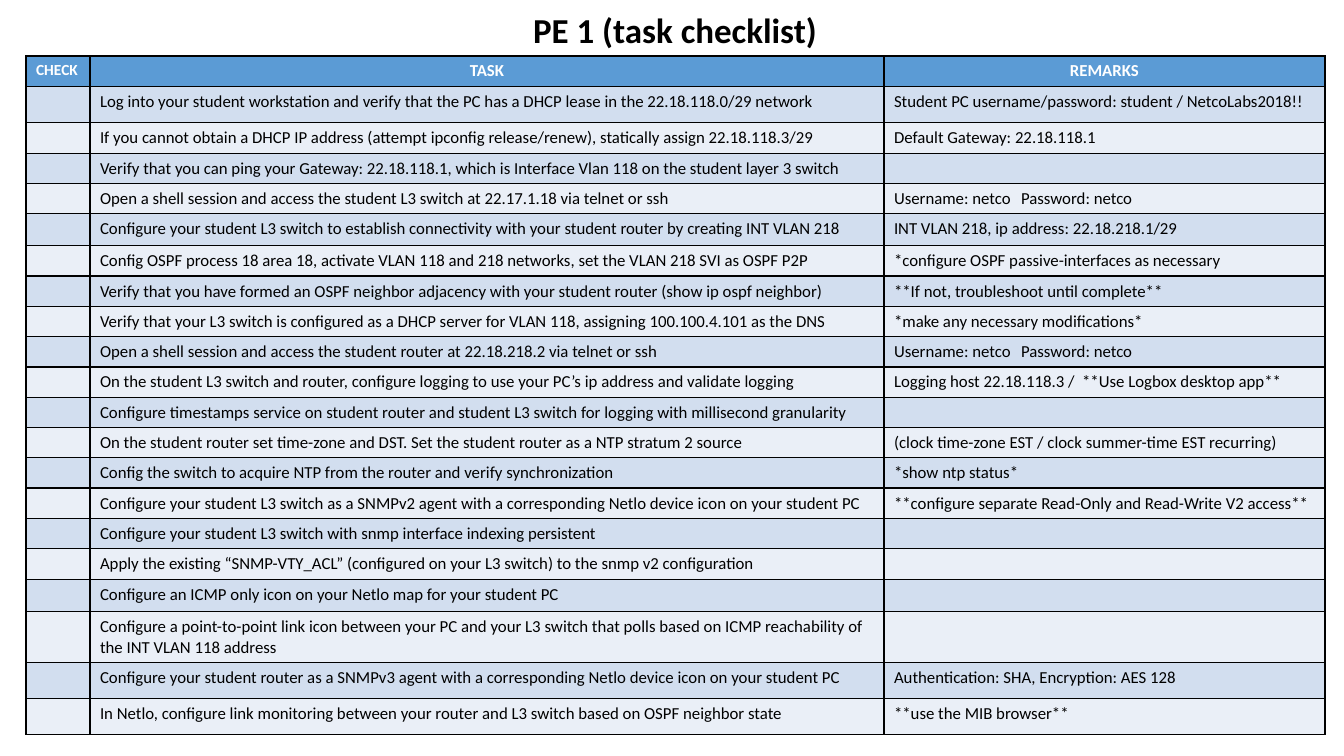
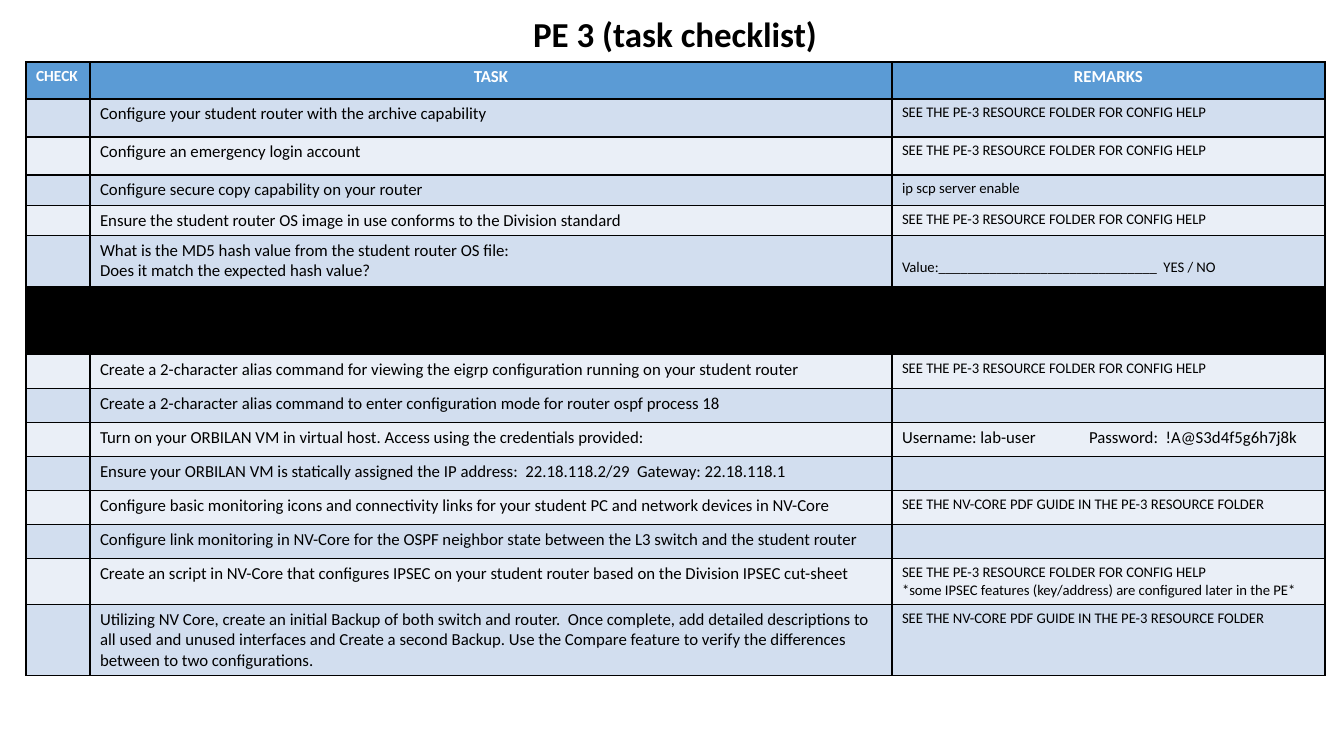
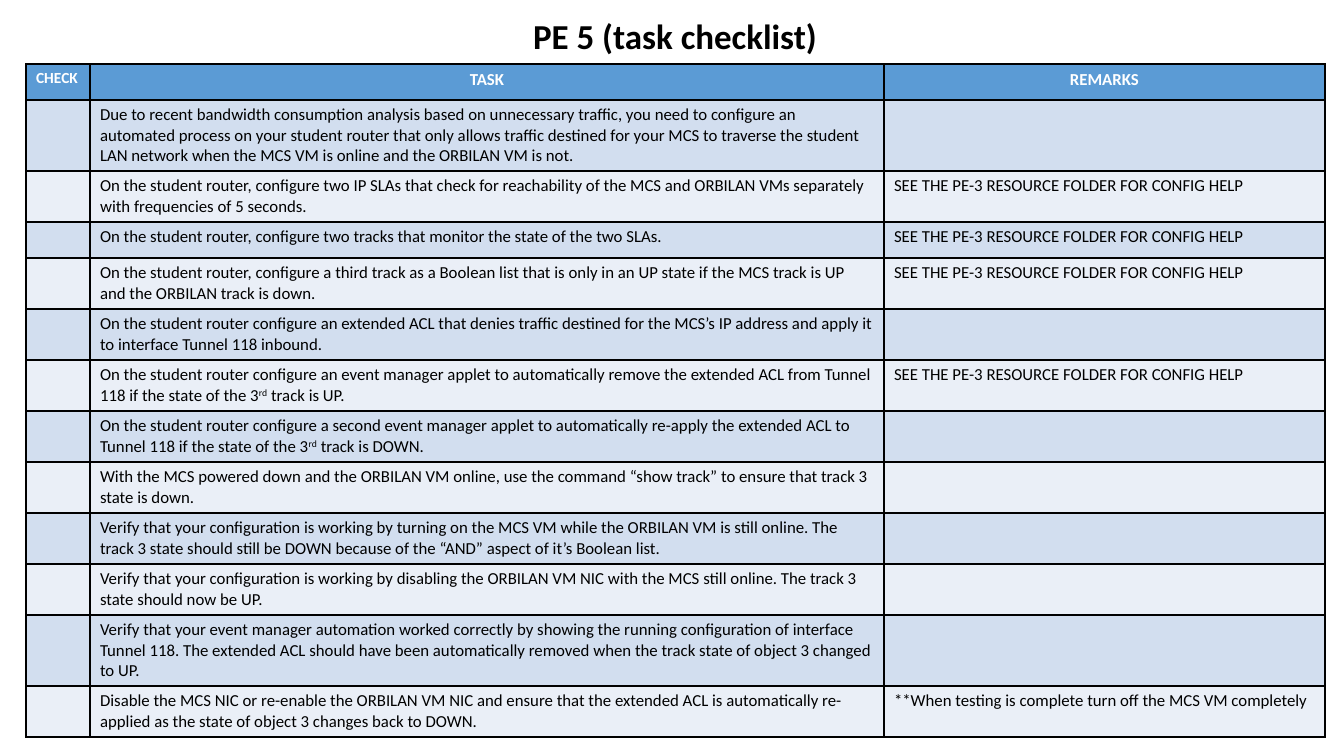
from dataclasses import dataclass
from lxml.etree import SubElement
from pptx import Presentation
from pptx.dml.color import RGBColor
from pptx.enum.text import MSO_ANCHOR, PP_ALIGN
from pptx.oxml.ns import qn
from pptx.util import Emu, Pt

SCALE = 914400 / 100.8


# Shared look
@dataclass(frozen=True)
class Theme:
    font: str = "Calibri"
    ink: str = "000000"
    white: str = "FFFFFF"
    head: str = "5B9BD5"
    bands: tuple = ("EAEFF7", "D2DEEF")
    title: float = 25
    check: float = 11
    body: float = 12
    small: float = 10.5
    line: float = 1


THEME = Theme()


@dataclass
class Row:
    task: str = ""
    note: str = ""
    high: int = 30
    size: float = THEME.body  # type size of the remark
    tab: int = 0  # tab stop in the remark
    lead: int = 0  # extra space above the remark
    black: bool = False


@dataclass
class Sheet:
    title: str
    box: tuple  # top and height of the title
    top: int
    cols: tuple
    head: int
    rows: list


def px(n):
    return Emu(round(n * SCALE))


def color(code):
    return RGBColor.from_string(code)


# Text: a part between ^ marks is raised
def write(para, text, size, ink=THEME.ink, bold=False, align=PP_ALIGN.LEFT):
    font = para.font
    font.name, font.size, font.bold = THEME.font, Pt(size), bold
    font.color.rgb = color(ink)
    para.alignment = align
    for i, part in enumerate(text.split("^") if text else []):
        run = para.add_run()
        run.text = part
        if i % 2:
            run._r.get_or_add_rPr().set("baseline", "30000")
    if not text:
        para._p.get_or_add_endParaRPr().set("sz", str(int(size * 100)))


def add_tab(para, stop):
    props = para._p.get_or_add_pPr()
    tabs = props.makeelement(qn("a:tabLst"))
    SubElement(tabs, qn("a:tab"), pos=str(px(stop)), algn="l")
    props.insert(0, tabs)


# Table cells
def add_edges(cell):
    props = cell._tc.get_or_add_tcPr()
    for i, side in enumerate(("lnL", "lnR", "lnT", "lnB")):
        edge = props.makeelement(qn("a:" + side), w=str(Pt(THEME.line)))
        fill = SubElement(edge, qn("a:solidFill"))
        SubElement(fill, qn("a:srgbClr"), val=THEME.ink)
        props.insert(i, edge)


def fill_cell(cell, text, fill, size=THEME.body, **style):
    cell.fill.solid()
    cell.fill.fore_color.rgb = color(fill)
    add_edges(cell)
    frame = cell.text_frame
    for i, line in enumerate(text.split("\n")):
        para = frame.add_paragraph() if i else frame.paragraphs[0]
        write(para, line, size, **style)


def add_title(slide, sheet):
    top, high = sheet.box
    box = slide.shapes.add_textbox(px(171), px(top), px(1008), px(high))
    frame = box.text_frame
    frame.word_wrap = True
    frame.vertical_anchor = MSO_ANCHOR.BOTTOM
    para = frame.paragraphs[0]
    write(para, sheet.title, THEME.title, bold=True, align=PP_ALIGN.CENTER)
    para.line_spacing = 0.9


def add_list(slide, sheet):
    highs = [sheet.head] + [row.high for row in sheet.rows]
    table = slide.shapes.add_table(
        len(highs), len(sheet.cols), px(26), px(sheet.top),
        px(sum(sheet.cols)), px(sum(highs))).table
    table.horz_banding = False
    for col, wide in zip(table.columns, sheet.cols):
        col.width = px(wide)
    for line, high in zip(table.rows, highs):
        line.height = px(high)

    # Header row
    heads = (("CHECK", THEME.check, PP_ALIGN.LEFT),
             ("TASK", THEME.body, PP_ALIGN.CENTER),
             ("REMARKS", THEME.body, PP_ALIGN.CENTER))
    for i, (text, size, align) in enumerate(heads):
        fill_cell(table.cell(0, i), text, THEME.head, size,
                  ink=THEME.white, bold=True, align=align)

    # Task rows
    for i, row in enumerate(sheet.rows, 1):
        fill = THEME.ink if row.black else THEME.bands[i % 2]
        check, task, note = (table.cell(i, n) for n in range(3))
        fill_cell(check, "", fill)
        fill_cell(task, row.task, fill)
        fill_cell(note, row.note, fill, row.size)
        if row.tab:
            add_tab(note.text_frame.paragraphs[0], row.tab)
        if row.lead:
            note.margin_top = px(5 + row.lead)


# Content
HELP = "SEE THE PE-3 RESOURCE FOLDER FOR CONFIG HELP"
GUIDE = "SEE THE NV-CORE PDF GUIDE IN THE PE-3 RESOURCE FOLDER"
LOGIN = "Username: netco\tPassword: netco"
WIDE = (64, 794, 441)
SMALL = THEME.small

FIRST = [
    Row("Log into your student workstation and verify that the PC has a DHCP lease in the 22.18.118.0/29 network",
        "Student PC username/password: student / NetcoLabs2018!!", 36),
    Row("If you cannot obtain a DHCP IP address (attempt ipconfig release/renew), statically assign 22.18.118.3/29",
        "Default Gateway: 22.18.118.1", 31),
    Row("Verify that you can ping your Gateway: 22.18.118.1, which is Interface Vlan 118 on the student layer 3 switch"),
    Row("Open a shell session and access the student L3 switch at 22.17.1.18 via telnet or ssh", LOGIN, tab=127),
    Row("Configure your student L3 switch to establish connectivity with your student router by creating INT VLAN 218",
        "INT VLAN 218, ip address: 22.18.218.1/29", 32),
    Row("Config OSPF process 18 area 18, activate VLAN 118 and 218 networks, set the VLAN 218 SVI as OSPF P2P",
        "*configure OSPF passive-interfaces as necessary"),
    Row("Verify that you have formed an OSPF neighbor adjacency with your student router (show ip ospf neighbor)",
        "**If not, troubleshoot until complete**"),
    Row("Verify that your L3 switch is configured as a DHCP server for VLAN 118, assigning 100.100.4.101 as the DNS",
        "*make any necessary modifications*"),
    Row("Open a shell session and access the student router at 22.18.218.2 via telnet or ssh", LOGIN, tab=127),
    Row("On the student L3 switch and router, configure logging to use your PC’s ip address and validate logging",
        "Logging host 22.18.118.3 /  **Use Logbox desktop app**"),
    Row("Configure timestamps service on student router and student L3 switch for logging with millisecond granularity"),
    Row("On the student router set time-zone and DST. Set the student router as a NTP stratum 2 source",
        "(clock time-zone EST / clock summer-time EST recurring)"),
    Row("Config the switch to acquire NTP from the router and verify synchronization", "*show ntp status*"),
    Row("Configure your student L3 switch as a SNMPv2 agent with a corresponding Netlo device icon on your student PC",
        "**configure separate Read-Only and Read-Write V2 access**"),
    Row("Configure your student L3 switch with snmp interface indexing persistent"),
    Row("Apply the existing “SNMP-VTY_ACL” (configured on your L3 switch) to the snmp v2 configuration", high=31),
    Row("Configure an ICMP only icon on your Netlo map for your student PC", high=32),
    Row("Configure a point-to-point link icon between your PC and your L3 switch that polls based on ICMP "
        "reachability of the INT VLAN 118 address", high=51),
    Row("Configure your student router as a SNMPv3 agent with a corresponding Netlo device icon on your student PC",
        "Authentication: SHA, Encryption: AES 128", 36),
    Row("In Netlo, configure link monitoring between your router and L3 switch based on OSPF neighbor state",
        "**use the MIB browser**", 36),
]

THIRD = [
    Row("Configure your student router with the archive capability", HELP, 38, SMALL),
    Row("Configure an emergency login account", HELP, 38, SMALL),
    Row("Configure secure copy capability on your router", "ip scp server enable", 30, SMALL),
    Row("Ensure the student router OS image in use conforms to the Division standard", HELP, 30, SMALL),
    Row("What is the MD5 hash value from the student router OS file:\nDoes it match the expected hash value?",
        "Value:______________________________  YES / NO", 51, SMALL, lead=18),
    Row(high=34, black=True),
    Row(high=34, black=True),
    Row("Create a 2-character alias command for viewing the eigrp configuration running on your student router",
        HELP, 34, SMALL),
    Row("Create a 2-character alias command to enter configuration mode for router ospf process 18", high=34),
    Row("Turn on your ORBILAN VM in virtual host. Access using the credentials provided:",
        "Username: lab-user\tPassword:  !A@S3d4f5g6h7j8k", 34, tab=187),
    Row("Ensure your ORBILAN VM is statically assigned the IP address:  22.18.118.2/29  Gateway: 22.18.118.1",
        high=34),
    Row("Configure basic monitoring icons and connectivity links for your student PC and network devices in NV-Core",
        GUIDE, 34, SMALL),
    Row("Configure link monitoring in NV-Core for the OSPF neighbor state between the L3 switch and the student router",
        high=34),
    Row("Create an script in NV-Core that configures IPSEC on your student router based on the Division IPSEC cut-sheet",
        HELP + "\n*some IPSEC features (key/address) are configured later in the PE*", 46, SMALL),
    Row("Utilizing NV Core, create an initial Backup of both switch and router.  Once complete, add detailed "
        "descriptions to all used and unused interfaces and Create a second Backup. Use the Compare feature to "
        "verify the differences between to two configurations.", GUIDE, 71, SMALL),
]

FIFTH = [
    Row("Due to recent bandwidth consumption analysis based on unnecessary traffic, you need to configure an "
        "automated process on your student router that only allows traffic destined for your MCS to traverse the "
        "student LAN network when the MCS VM is online and the ORBILAN VM is not.", high=71),
    Row("On the student router, configure two IP SLAs that check for reachability of the MCS and ORBILAN VMs "
        "separately with frequencies of 5 seconds.", HELP, 51),
    Row("On the student router, configure two tracks that monitor the state of the two SLAs.", HELP, 36),
    Row("On the student router, configure a third track as a Boolean list that is only in an UP state if the MCS "
        "track is UP and the ORBILAN track is down.", HELP, 51),
    Row("On the student router configure an extended ACL that denies traffic destined for the MCS’s IP address and "
        "apply it to interface Tunnel 118 inbound.", high=51),
    Row("On the student router configure an event manager applet to automatically remove the extended ACL from "
        "Tunnel 118 if the state of the 3^rd^ track is UP.", HELP, 51),
    Row("On the student router configure a second event manager applet to automatically re-apply the extended ACL "
        "to Tunnel 118 if the state of the 3^rd^ track is DOWN.", high=51),
    Row("With the MCS powered down and the ORBILAN VM online, use the command “show track” to ensure that track 3 "
        "state is down.", high=51),
    Row("Verify that your configuration is working by turning on the MCS VM while the ORBILAN VM is still online. "
        "The track 3 state should still be DOWN because of the “AND” aspect of it’s Boolean list.", high=51),
    Row("Verify that your configuration is working by disabling the ORBILAN VM NIC with the MCS still online. The "
        "track 3 state should now be UP.", high=51),
    Row("Verify that your event manager automation worked correctly by showing the running configuration of "
        "interface Tunnel 118. The extended ACL should have been automatically removed when the track state of "
        "object 3 changed to UP.", high=71),
    Row("Disable the MCS NIC or re-enable the ORBILAN VM NIC and ensure that the extended ACL is automatically "
        "re-applied as the state of object 3 changes back to DOWN.",
        "**When testing is complete turn off the MCS VM completely", 51),
]

SHEETS = [
    Sheet("PE 1 (task checklist)", (5, 51), 56, WIDE, 30, FIRST),
    Sheet("PE 3 (task checklist)", (6, 54), 62, (64, 802, 433), 37, THIRD),
    Sheet("PE 5 (task checklist)", (2, 60), 64, WIDE, 36, FIFTH),
]


def main():
    deck = Presentation()
    deck.slide_width, deck.slide_height = px(1344), px(756)
    for sheet in SHEETS:
        slide = deck.slides.add_slide(deck.slide_layouts[6])
        add_title(slide, sheet)
        add_list(slide, sheet)
    deck.save("out.pptx")


main()
